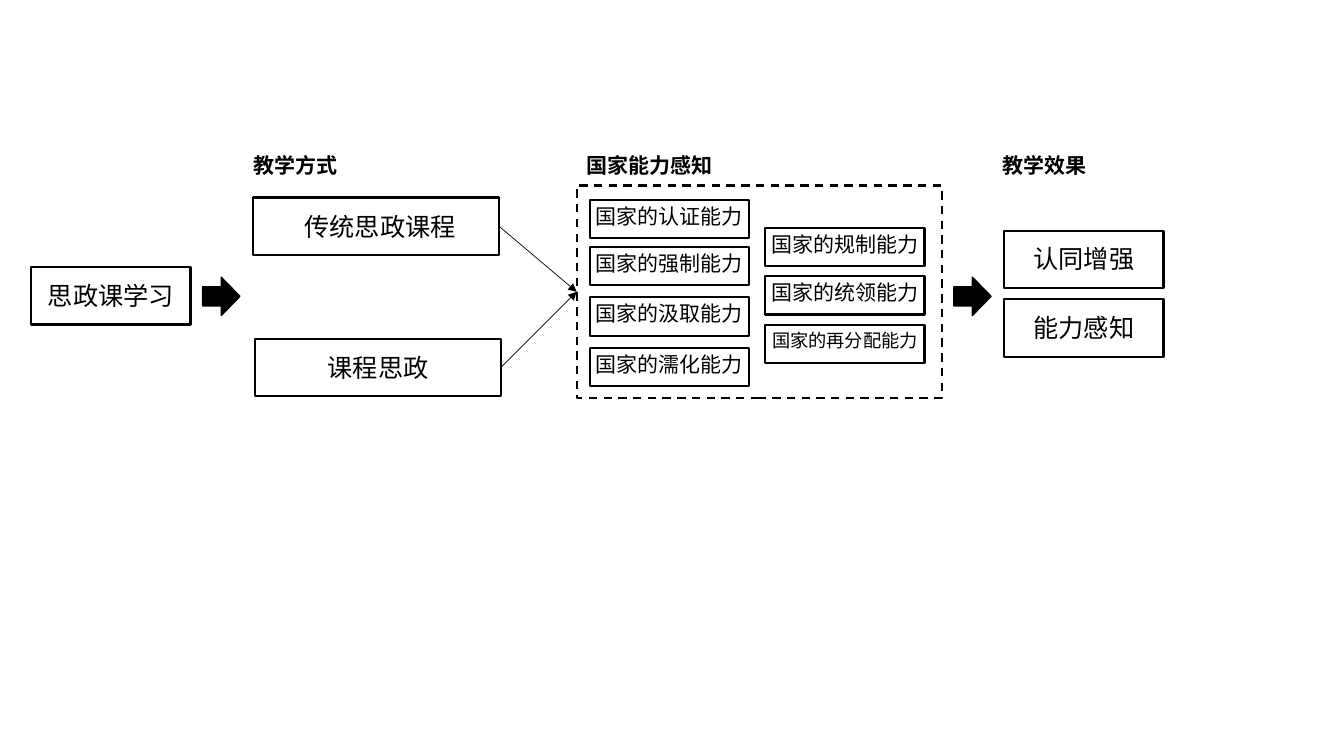
"""Build the slide that links course teaching, perceived state capacity and outcomes."""
from dataclasses import dataclass

from lxml.etree import SubElement
from pptx import Presentation
from pptx.dml.color import RGBColor
from pptx.enum.dml import MSO_LINE_DASH_STYLE as Dash
from pptx.enum.shapes import MSO_CONNECTOR as Connector, MSO_SHAPE as Shape
from pptx.enum.text import MSO_ANCHOR as Anchor, PP_ALIGN as Align
from pptx.oxml.ns import qn
from pptx.util import Inches, Pt


@dataclass(frozen=True)
class Theme:
    """Colours, font, type sizes and line widths of the slide."""
    ink: RGBColor = RGBColor(0, 0, 0)
    font: str = "Noto Sans CJK SC"
    large: float = 18
    medium: float = 15
    small: float = 13
    border: float = 1.5
    arrow_border: float = 1
    thin: float = 0.5


def set_format(target, values):
    """Set every attribute named in values on target."""
    for name, value in values.items():
        setattr(target, name, value)


class Diagram:
    """Draw diagram elements on one slide in one theme."""

    def __init__(self, slide, theme):
        """Keep the slide and the theme."""
        self.slide = slide
        self.theme = theme

    def label(self, shape, text, size, align, bold=False, **frame_format):
        """Put one styled line of text into a shape."""
        frame = shape.text_frame
        set_format(frame, {"word_wrap": False, "vertical_anchor": Anchor.MIDDLE, **frame_format})
        paragraph = frame.paragraphs[0]
        paragraph.alignment = align
        run = paragraph.add_run()
        run.text = text
        run.font.color.rgb = self.theme.ink
        set_format(run.font, {"name": self.theme.font, "size": Pt(size), "bold": bold})
        SubElement(run.font._element, qn("a:ea"), typeface=self.theme.font)

    def outline(self, kind, left, top, width, height, line_width):
        """Add an unfilled preset shape with an ink border."""
        shape = self.slide.shapes.add_shape(
            kind, Inches(left), Inches(top), Inches(width), Inches(height))
        shape.shadow.inherit = False
        shape.fill.background()
        shape.line.color.rgb = self.theme.ink
        shape.line.width = Pt(line_width)
        return shape

    def box(self, text, left, top, width, height, size, shift=0, lift=0):
        """Add a labelled box whose text may sit right of or above its centre."""
        shape = self.outline(Shape.RECTANGLE, left, top, width, height, self.theme.border)
        self.label(shape, text, size, Align.CENTER,
                   margin_left=Inches(2 * shift), margin_right=0,
                   margin_top=0, margin_bottom=Inches(2 * lift))
        return shape

    def dashed_frame(self, left, top, width, height):
        """Add a dashed frame."""
        shape = self.outline(Shape.RECTANGLE, left, top, width, height, self.theme.border)
        shape.line.dash_style = Dash.DASH
        return shape

    def block_arrow(self, left, top):
        """Add a solid arrow pointing right."""
        shape = self.outline(Shape.RIGHT_ARROW, left, top, 0.37, 0.38, self.theme.arrow_border)
        shape.fill.solid()
        shape.fill.fore_color.rgb = self.theme.ink

    def heading(self, text, left):
        """Add a bold column heading."""
        shape = self.slide.shapes.add_textbox(
            Inches(left), Inches(1.46), Inches(1.58), Inches(0.35))
        self.label(shape, text, self.theme.medium, Align.LEFT, bold=True, word_wrap=True)

    def link(self, start, end):
        """Connect the right side of one shape to the left side of another."""
        connector = self.slide.shapes.add_connector(Connector.STRAIGHT, 0, 0, 0, 0)
        connector.begin_connect(start, 3)
        connector.end_connect(end, 1)
        connector.line.color.rgb = self.theme.ink
        connector.line.width = Pt(self.theme.thin)
        properties = connector._element.spPr
        SubElement(properties.find(qn("a:ln")), qn("a:tailEnd"), type="triangle")
        SubElement(properties, qn("a:effectLst"))


def main():
    """Build and save the slide."""
    presentation = Presentation()
    set_format(presentation, {"slide_width": Inches(13.33), "slide_height": Inches(7.5)})
    theme = Theme()
    diagram = Diagram(presentation.slides.add_slide(presentation.slide_layouts[6]), theme)

    for text, left in (("教学方式", 2.42), ("国家能力感知", 5.72), ("教学效果", 9.84)):
        diagram.heading(text, left)

    diagram.box("思政课学习", 0.31, 2.65, 1.58, 0.57, theme.large)
    traditional = diagram.box("传统思政课程", 2.51, 1.96, 2.44, 0.57, theme.large, shift=0.04)
    integrated = diagram.box("课程思政", 2.53, 3.36, 2.44, 0.57, theme.large)

    capacities = diagram.dashed_frame(5.72, 1.84, 3.62, 2.11)
    for method in (traditional, integrated):
        diagram.link(method, capacities)

    capacity_columns = (
        (5.85, (("认证", 1.98), ("强制", 2.45), ("汲取", 2.95), ("濡化", 3.45))),
        (7.59, (("规制", 2.26), ("统领", 2.74), ("再分配", 3.22))),
    )
    for left, column in capacity_columns:
        for name, top in column:
            size = theme.medium if len(name) == 2 else theme.small
            diagram.box(f"国家的{name}能力", left, top, 1.58, 0.38, size, lift=0.03)

    for left in (2.01, 9.46):
        diagram.block_arrow(left, 2.75)

    for text, top in (("认同增强", 2.29), ("能力感知", 2.97)):
        diagram.box(text, 9.96, top, 1.58, 0.57, theme.large, lift=0.01)

    presentation.save("out.pptx")


main()
